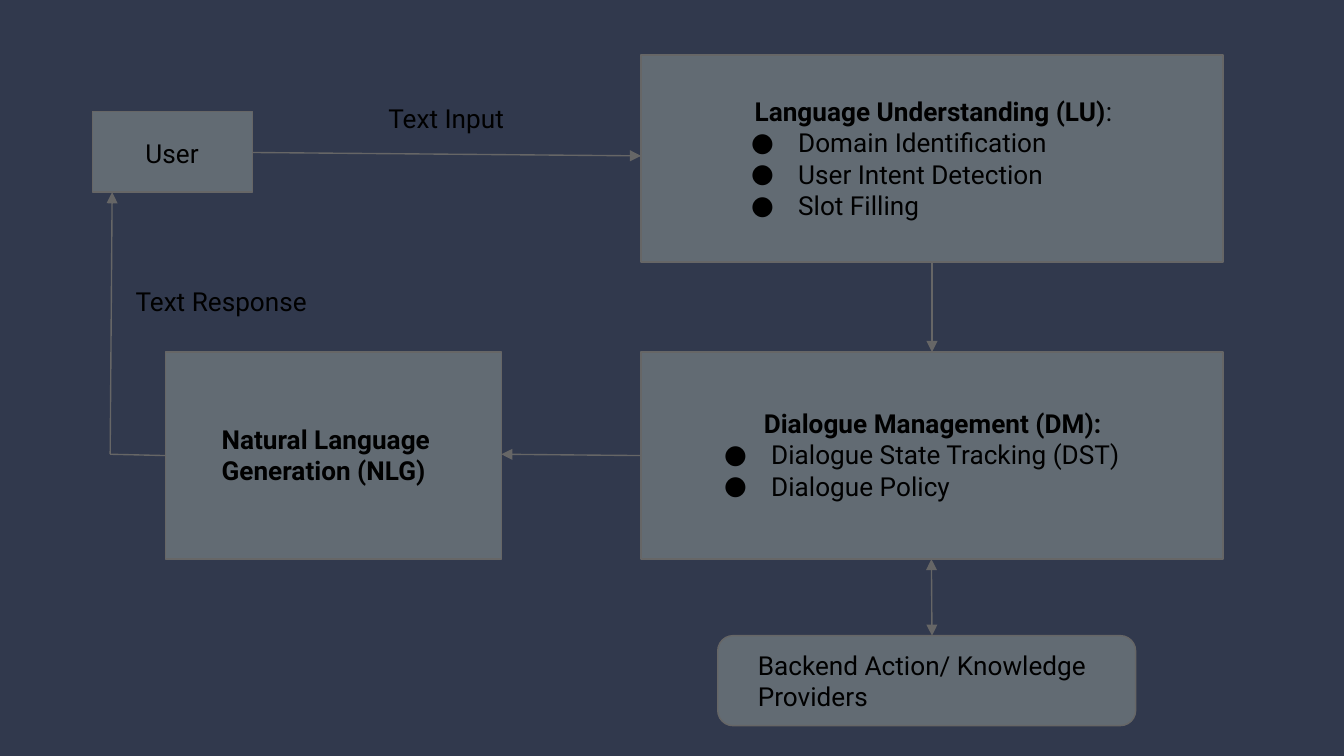
from lxml import etree
from pptx import Presentation
from pptx.dml.color import RGBColor
from pptx.enum.shapes import MSO_CONNECTOR, MSO_SHAPE
from pptx.enum.text import PP_ALIGN
from pptx.oxml.ns import qn
from pptx.util import Emu, Pt

RECTANGLE = MSO_SHAPE.RECTANGLE
ROUNDED = MSO_SHAPE.ROUNDED_RECTANGLE
STRAIGHT = MSO_CONNECTOR.STRAIGHT
CENTER, LEFT = PP_ALIGN.CENTER, PP_ALIGN.LEFT

PX_PER_INCH = 200
EMU_PER_PX = 914400 // PX_PER_INCH
INSET = 20
BULLET_MARGIN, BULLET_INDENT = 100, -70
FONT, FONT_SIZE, LINE_WIDTH = "Roboto", 14, 0.75
COLORS = {"background": "31394D", "box": "626B73", "line": "666666", "text": "000000"}


def px(value):
    return Emu(int(value * EMU_PER_PX))


def color(name):
    return RGBColor.from_string(COLORS[name])


def style_line(line):
    line.color.rgb = color("line")
    line.width = Pt(LINE_WIDTH)


def add_bullet(paragraph):
    properties = paragraph._p.get_or_add_pPr()
    properties.set("marL", str(px(BULLET_MARGIN)))
    properties.set("indent", str(px(BULLET_INDENT)))
    bullet_color = etree.SubElement(properties, qn("a:buClr"))
    etree.SubElement(bullet_color, qn("a:srgbClr"), val=COLORS["text"])
    etree.SubElement(properties, qn("a:buFont"), typeface=FONT)
    etree.SubElement(properties, qn("a:buChar"), char="●")


def add_run(paragraph, text, bold=False):
    run = paragraph.add_run()
    run.text = text
    run.font.name = FONT
    run.font.size = Pt(FONT_SIZE)
    run.font.bold = bold
    run.font.color.rgb = color("text")


def add_text(slide, box, heading, bullets=(), align=LEFT):
    frame = slide.shapes.add_textbox(*map(px, box)).text_frame
    frame.word_wrap = True
    frame.margin_left = frame.margin_right = px(INSET)
    frame.margin_top = frame.margin_bottom = px(INSET)
    paragraph = frame.paragraphs[0]
    paragraph.alignment = align
    for text, bold in heading:
        add_run(paragraph, text, bold)
    for text in bullets:
        paragraph = frame.add_paragraph()
        add_bullet(paragraph)
        add_run(paragraph, text)


def add_node(slide, box, text_box, heading, bullets=(), align=LEFT, kind=RECTANGLE):
    shape = slide.shapes.add_shape(kind, *map(px, box))
    shape.shadow.inherit = False
    shape.fill.solid()
    shape.fill.fore_color.rgb = color("box")
    style_line(shape.line)
    if kind == ROUNDED:
        shape.adjustments[0] = 0.17
    left, top, width, height = text_box
    add_text(slide, (box[0] + left, box[1] + top, width, height), heading, bullets, align)


def add_arrow(slide, start, end, heads=("tailEnd",)):
    connector = slide.shapes.add_connector(STRAIGHT, *map(px, start + end))
    style_line(connector.line)
    line = connector.line._get_or_add_ln()
    for head in heads:
        etree.SubElement(line, qn(f"a:{head}"), type="triangle")
    etree.SubElement(connector._element.spPr, qn("a:effectLst"))


def add_dialogue_system(slide, left, top):
    user = (left, top + 84, 238, 120)
    understanding = (left + 816, top, 866, 308)
    management = (left + 816, top + 442, 866, 308)
    generation = (left + 108, top + 442, 500, 308)
    backend = (left + 930, top + 864, 622, 134)

    add_node(slide, user, (26, 18, 184, 88), [("User", False)], align=CENTER)
    add_node(slide, understanding, (114, 40, 642, 228),
             [("Language Understanding (LU)", True), (":", False)],
             ["Domain Identification", "User Intent Detection", "Slot Filling"], CENTER)
    add_node(slide, management, (74, 62, 720, 182),
             [("Dialogue Management (DM):", True)],
             ["Dialogue State Tracking (DST)", "Dialogue Policy"], CENTER)
    add_node(slide, generation, (64, 86, 376, 134),
             [("Natural Language Generation (NLG)", True)])
    add_node(slide, backend, (40, 0, 622, 134),
             [("Backend Action/ Knowledge Providers", False)], kind=ROUNDED)

    add_text(slide, (left + 384, top + 50, 284, 88), [("Text Input", False)], align=CENTER)
    add_text(slide, (left + 44, top + 322, 310, 88), [("Text Response", False)])

    center = understanding[0] + understanding[2] // 2
    middle = management[1] + management[3] // 2
    management_bottom = management[1] + management[3]
    corner = (left + 26, middle - 2)
    add_arrow(slide, (user[0] + user[2], top + 145), (understanding[0], top + 150))
    add_arrow(slide, (center, understanding[1] + understanding[3]), (center, management[1]))
    add_arrow(slide, (management[0], middle), (generation[0] + generation[2], middle - 2))
    add_arrow(slide, (generation[0], middle), corner, heads=())
    add_arrow(slide, corner, (corner[0] + 3, user[1] + user[3]))
    add_arrow(slide, (center - 1, management_bottom), (center, backend[1]),
              ("headEnd", "tailEnd"))


def main():
    presentation = Presentation()
    presentation.slide_width, presentation.slide_height = px(2000), px(1125)
    slide = presentation.slides.add_slide(presentation.slide_layouts[6])
    slide.background.fill.solid()
    slide.background.fill.fore_color.rgb = color("background")
    add_dialogue_system(slide, 138, 82)
    presentation.save("out.pptx")


if __name__ == "__main__":
    main()
